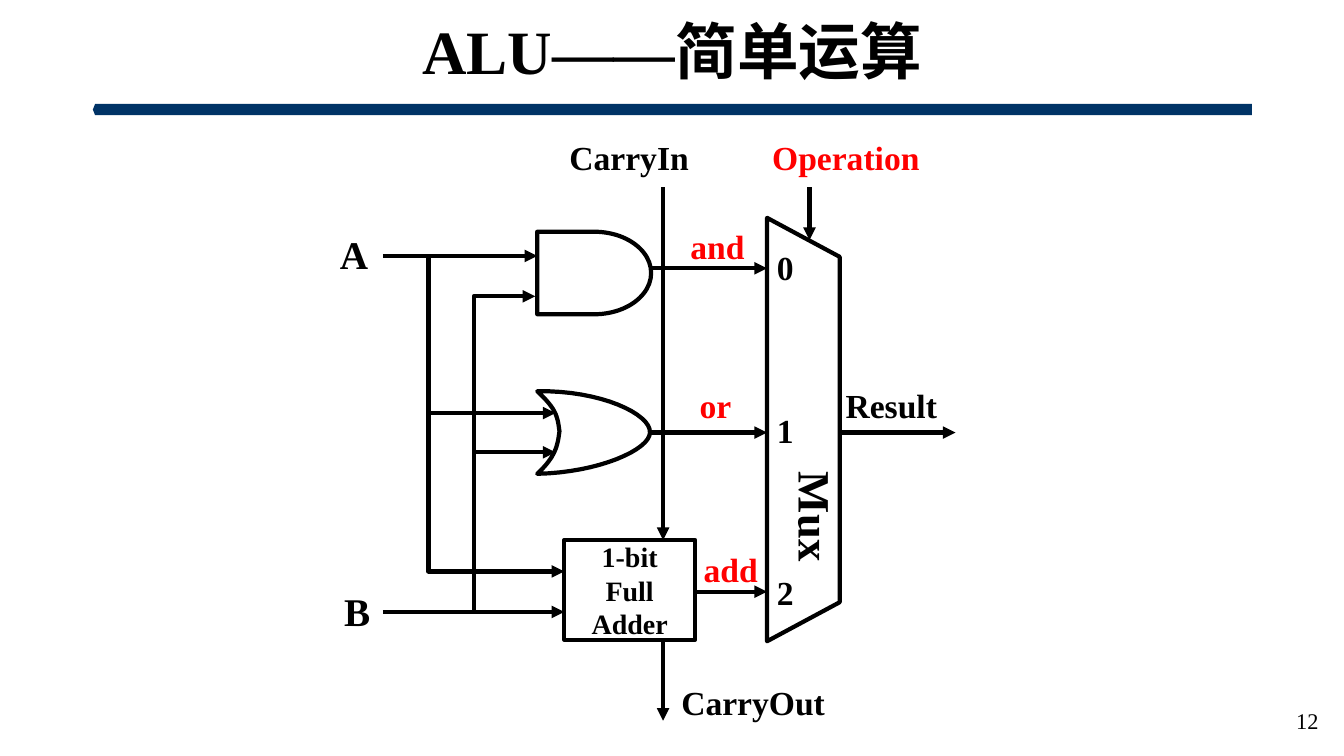
from lxml import etree
from pptx import Presentation
from pptx import util as u
from pptx.dml import color
from pptx.enum import shapes, text
from pptx.oxml import ns

COLORS = {"ink": "000000", "paper": "FFFFFF", "bar": "003366", "signal": "FF0000"}
FONT = "Times New Roman"
LINE_WIDTH = u.Pt(3)
LEFT, CENTER, RIGHT = text.PP_ALIGN.LEFT, text.PP_ALIGN.CENTER, text.PP_ALIGN.RIGHT

# Shared positions in cm
BUS_A, BUS_B = 10.8, 11.94
INPUT_X, A_Y, B_Y = 9.65, 6.45, 15.42
GATE_X, GATE_TIP, ADDER_X, ADDER_Y = 13.54, 16.38, 14.22, 13.61
MUX_LEFT, MUX_RIGHT, CARRY_X, MIDDLE_Y = 19.33, 21.16, 16.71, 10.9

WIRES = [
    (INPUT_X, A_Y, GATE_X, A_Y),
    (INPUT_X, B_Y, ADDER_X, B_Y),
    (CARRY_X, 4.72, CARRY_X, ADDER_Y),
    (CARRY_X, 16.13, CARRY_X, 18.16),
    (17.53, 14.91, MUX_LEFT, 14.91),
    (GATE_TIP, MIDDLE_Y, MUX_LEFT, MIDDLE_Y),
    (GATE_TIP, 6.76, MUX_LEFT, 6.76),
    (MUX_RIGHT, MIDDLE_Y, 24.08, MIDDLE_Y),
    (20.4, 4.72, 20.4, 6.05),
]
BRANCHES = [
    (BUS_A, A_Y, 14, 10.41),
    (BUS_A, 10.41, ADDER_X, 14.4),
    (BUS_B, B_Y, 14, 11.4),
    (BUS_B, 11.4, 13.49, 7.47),
]
LABELS = [  # wording, left, top, width, height, size, colour, alignment
    ("CarryIn", 14.35, 3.45, 3.05, 1.02, 24, "ink", LEFT),
    ("CarryOut", 17.17, 17.17, 3.66, 1.02, 24, "ink", LEFT),
    ("Result", 21.31, 9.7, 2.34, 1.02, 24, "ink", LEFT),
    ("Operation", 19.46, 3.45, 3.76, 1.02, 24, "signal", LEFT),
    ("and", 17.4, 5.69, 1.37, 1.02, 24, "signal", LEFT),
    ("or", 17.63, 9.7, 0.81, 1.02, 24, "signal", LEFT),
    ("add", 17.5, 13.82, 1.83, 1.02, 24, "signal", CENTER),
    ("A", 8.38, 5.79, 1.09, 1.19, 28, "ink", CENTER),
    ("B", 8.46, 14.81, 1.09, 1.19, 28, "ink", CENTER),
]
# Or gate outline: start, then control, control and end of each curve
OR_START = (GATE_X, 9.86)
OR_CURVES = [
    ((15.14, 9.83), (16.41, 10.44), (GATE_TIP, MIDDLE_Y)),
    ((16.38, 11.33), (15.09, 11.91), (GATE_X, 11.94)),
    ((14, 11.51), (14.05, 11.25), (14.1, 10.87)),
    ((14.05, 10.46), (14, 10.29), OR_START),
]
CURVE_STEPS = 16


def rgb(name):
    return color.RGBColor.from_string(COLORS[name])


def set_values(target, values):
    for name, value in values.items():
        setattr(target, name, value)


def write(frame, lines, size, ink="ink", align=LEFT, bold=True, gap=0):
    frame.vertical_anchor = text.MSO_ANCHOR.MIDDLE
    for index, line in enumerate(lines):
        para = frame.add_paragraph() if index else frame.paragraphs[0]
        para.alignment = align
        if index and gap:
            para.space_before = u.Pt(gap)
        span = para.add_run()
        span.text = line
        set_values(span.font, {"name": FONT, "size": u.Pt(size), "bold": bold})
        span.font.color.rgb = rgb(ink)


def paint(shape, fill="paper", outline=True):
    shape.shadow.inherit = False
    shape.fill.solid()
    shape.fill.fore_color.rgb = rgb(fill)
    if outline:
        shape.line.color.rgb = rgb("ink")
        shape.line.width = LINE_WIDTH
    else:
        shape.line.fill.background()
    return shape


def add_block(page, kind, left, top, width, height, **look):
    place = [u.Cm(value) for value in (left, top, width, height)]
    return paint(page.shapes.add_shape(kind, *place), **look)


def add_label(page, wording, left, top, width, height, size, ink, align, bold=True):
    place = [u.Cm(value) for value in (left, top, width, height)]
    frame = page.shapes.add_textbox(*place).text_frame
    margins = ("margin_left", "margin_top", "margin_right", "margin_bottom")
    set_values(frame, dict.fromkeys(margins, 0))
    frame.word_wrap = False
    write(frame, [wording], size, ink, align, bold)
    return frame


def set_direction(frame, direction):
    frame._txBody.find(ns.qn("a:bodyPr")).set("vert", direction)


def add_wire(page, x1, y1, x2, y2, kind=shapes.MSO_CONNECTOR.STRAIGHT):
    ends = [u.Cm(value) for value in (x1, y1, x2, y2)]
    wire = page.shapes.add_connector(kind, *ends)
    wire.line.color.rgb = rgb("ink")
    wire.line.width = LINE_WIDTH
    etree.SubElement(wire.line._get_or_add_ln(), ns.qn("a:tailEnd"), type="triangle")
    etree.SubElement(wire._element.spPr, ns.qn("a:effectLst"))
    return wire


def add_branch(page, *ends):
    """Run along the bus first, then turn towards the gate."""
    wire = add_wire(page, *ends, kind=shapes.MSO_CONNECTOR.ELBOW)
    guides = wire._element.spPr.find(ns.qn("a:prstGeom")).get_or_add_avLst()
    etree.SubElement(guides, ns.qn("a:gd"), name="adj1", fmla="val 0")


def curve_points(start, first, second, end):
    for step in range(1, CURVE_STEPS + 1):
        t = step / CURVE_STEPS
        weights = ((1 - t) ** 3, 3 * t * (1 - t) ** 2, 3 * t * t * (1 - t), t ** 3)
        corners = (start, first, second, end)
        yield tuple(
            u.Cm(sum(w * corner[axis] for w, corner in zip(weights, corners)))
            for axis in (0, 1)
        )


def add_or_gate(page):
    builder = page.shapes.build_freeform(*[u.Cm(value) for value in OR_START])
    start, points = OR_START, []
    for curve in OR_CURVES:
        points.extend(curve_points(start, *curve))
        start = curve[-1]
    builder.add_line_segments(points, close=True)
    paint(builder.convert_to_shape())


def add_title(page):
    title = page.shapes.title
    place = {"left": 2.34, "top": 0.33, "width": 29.21, "height": 2.08}
    set_values(title, {name: u.Cm(value) for name, value in place.items()})
    write(title.text_frame, ["ALU——简单运算"], 44, align=CENTER)
    title.text_frame.auto_size = text.MSO_AUTO_SIZE.NONE
    title.text_frame.paragraphs[0].line_spacing = 0.9


def add_mux(page):
    mux = add_block(page, shapes.MSO_SHAPE.TRAPEZOID, 14.91, 9.91, 10.67, 1.83)
    mux.rotation = 90
    mux.adjustments[0] = 0.537
    set_direction(mux.text_frame, "vert270")
    write(mux.text_frame, ["0", "1", "2"], 24, gap=87)
    name = add_label(page, "Mux", 19.89, 11.89, 1.37, 2.29, 32, "ink", LEFT)
    set_direction(name, "eaVert")


def main():
    deck = Presentation()
    deck.slide_width, deck.slide_height = u.Cm(33.87), u.Cm(19.05)
    page = deck.slides.add_slide(deck.slide_layouts[5])

    # Heading and page number
    bar = add_block(page, shapes.MSO_SHAPE.PENTAGON, 2.34, 2.62, 29.21, 0.28,
                    fill="bar", outline=False)
    bar.rotation = 180
    bar.adjustments[0] = 0.2
    add_title(page)
    add_label(page, "12", 25.86, 17.65, 7.37, 1.02, 16, "ink", RIGHT, bold=False)

    # Gates and adder
    add_block(page, shapes.MSO_SHAPE.FLOWCHART_DELAY, GATE_X, 5.84, 2.87, 2.08)
    add_or_gate(page)
    adder = add_block(page, shapes.MSO_SHAPE.RECTANGLE, ADDER_X, ADDER_Y, 3.3, 2.51)
    write(adder.text_frame, ["1-bit", "Full", "Adder"], 20, align=CENTER)

    # Wiring, multiplexer and labels
    for wire in WIRES:
        add_wire(page, *wire)
    for branch in BRANCHES:
        add_branch(page, *branch)
    add_mux(page)
    for label in LABELS:
        add_label(page, *label)

    deck.save("out.pptx")


if __name__ == "__main__":
    main()
